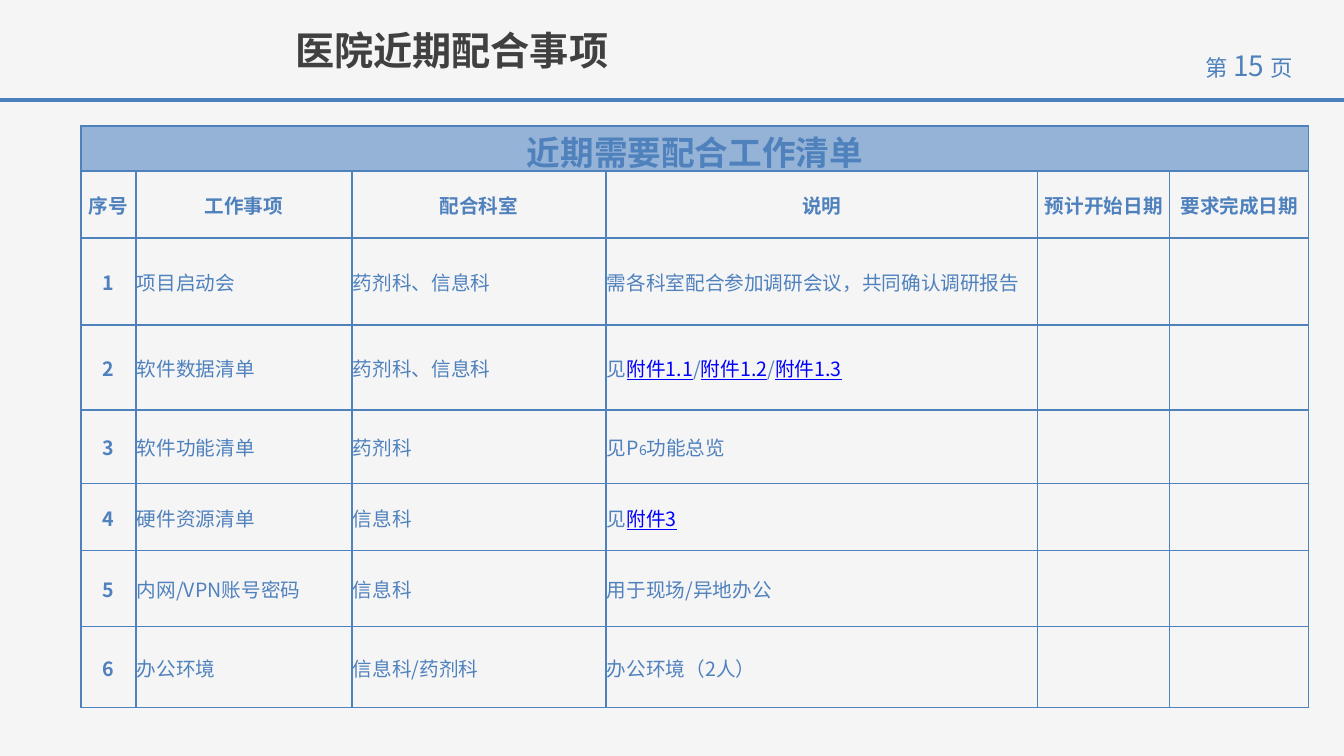
from lxml.etree import SubElement
from pptx import Presentation
from pptx.dml.color import RGBColor
from pptx.enum.shapes import MSO_CONNECTOR
from pptx.enum.text import MSO_ANCHOR, PP_ALIGN
from pptx.oxml import parse_xml
from pptx.oxml.ns import nsdecls, qn
from pptx.util import Pt

FONT = "Noto Sans CJK SC"
BACKGROUND = RGBColor(0xF5, 0xF5, 0xF5)
DARK = RGBColor(0x40, 0x40, 0x40)
BLUE = RGBColor(0x4F, 0x81, 0xBD)
RULE_BLUE = RGBColor(0x4B, 0x7E, 0xBC)
BANNER_BLUE = RGBColor(0x95, 0xB3, 0xD7)
LINK_BLUE = RGBColor(0x00, 0x00, 0xFF)


def px(length):
    return round(length * 914400 / 100.8)


def format_span(span, size, color, bold=False):
    span.font.size = Pt(size)
    span.font.bold = bold
    span.font.color.rgb = color
    span.font.name = FONT
    SubElement(span.font._element, qn("a:ea")).set("typeface", FONT)


deck = Presentation()
deck.slide_width = px(1344)
deck.slide_height = px(756)
page = deck.slides.add_slide(deck.slide_layouts[5])
page.background.fill.solid()
page.background.fill.fore_color.rgb = BACKGROUND

number_box = page.shapes.add_textbox(px(1190), px(44), px(118), px(44))
number_box.text_frame.word_wrap = True
para = number_box.text_frame.paragraphs[0]
para.alignment = PP_ALIGN.CENTER
for text, size in [("第", 16), (" ", 18), ("15", 20), (" ", 18), ("页", 16)]:
    span = para.add_run()
    span.text = text
    format_span(span, size, BLUE)

rule = page.shapes.add_connector(MSO_CONNECTOR.STRAIGHT, 0, px(100), px(1344), px(100))
rule.line.color.rgb = RULE_BLUE
rule.line.width = Pt(2.25)
SubElement(rule._element.spPr, qn("a:effectLst"))

title = page.shapes.title
title.left, title.top, title.width, title.height = px(285), px(21), px(840), px(57)
title.text_frame.text = "医院近期配合事项"
title.text_frame.vertical_anchor = MSO_ANCHOR.MIDDLE
para = title.text_frame.paragraphs[0]
para.alignment = PP_ALIGN.LEFT
format_span(para.runs[0], 28, DARK, True)

column_widths = [55, 216, 254, 432, 132, 139]
row_heights = [45, 67, 87, 85, 74, 67, 76, 81]
headings = ["序号", "工作事项", "配合科室", "说明", "预计开始日期", "要求完成日期"]
tasks = [
    ("项目启动会", "药剂科、信息科", ["需各科室配合参加调研会议，共同确认调研报告"]),
    ("软件数据清单", "药剂科、信息科", ["见", "附件1.1", "/", "附件1.2", "/", "附件1.3"]),
    ("软件功能清单", "药剂科", ["见P", "6", "功能总览"]),
    ("硬件资源清单", "信息科", ["见", "附件3"]),
    ("内网/VPN账号密码", "信息科", ["用于现场/异地办公"]),
    ("办公环境", "信息科/药剂科", ["办公环境（2人）"]),
]
rows = [[["近期需要配合工作清单"]] + [[]] * 5, [[heading] for heading in headings]]
for number, (task, department, remark) in enumerate(tasks, 1):
    rows.append([[str(number)], [task], [department], remark, [], []])

table = page.shapes.add_table(
    len(rows), len(column_widths), px(81), px(126),
    px(sum(column_widths)), px(sum(row_heights)),
).table
table.first_row = False
table.horz_banding = False
for column, width in zip(table.columns, column_widths):
    column.width = px(width)
for row, height in zip(table.rows, row_heights):
    row.height = px(height)
table.cell(0, 0).merge(table.cell(0, 5))

for row_index, row_texts in enumerate(rows):
    is_banner = row_index == 0
    for column_index, texts in enumerate(row_texts):
        cell = table.cell(row_index, column_index)
        cell.margin_left = cell.margin_right = cell.margin_top = px(1)
        cell.margin_bottom = 0
        cell.vertical_anchor = MSO_ANCHOR.MIDDLE
        if is_banner:
            cell.fill.solid()
            cell.fill.fore_color.rgb = BANNER_BLUE
        else:
            cell.fill.background()
        for position, side in enumerate(["lnL", "lnR", "lnT", "lnB"]):
            border = parse_xml(
                f'<a:{side} {nsdecls("a")} w="12700"><a:solidFill>'
                f'<a:srgbClr val="{BLUE}"/></a:solidFill></a:{side}>'
            )
            cell._tc.get_or_add_tcPr().insert(position, border)

        is_heading = row_index <= 1 or column_index == 0
        para = cell.text_frame.paragraphs[0]
        para.alignment = PP_ALIGN.CENTER if is_heading else PP_ALIGN.LEFT
        for text in texts:
            span = para.add_run()
            span.text = text
            is_link = text.startswith("附件")
            is_small = text == "6" and not is_heading
            size = 24 if is_banner else 10 if is_small else 14
            format_span(span, size, LINK_BLUE if is_link else BLUE, is_heading)
            span.font.underline = is_link

deck.save("out.pptx")
